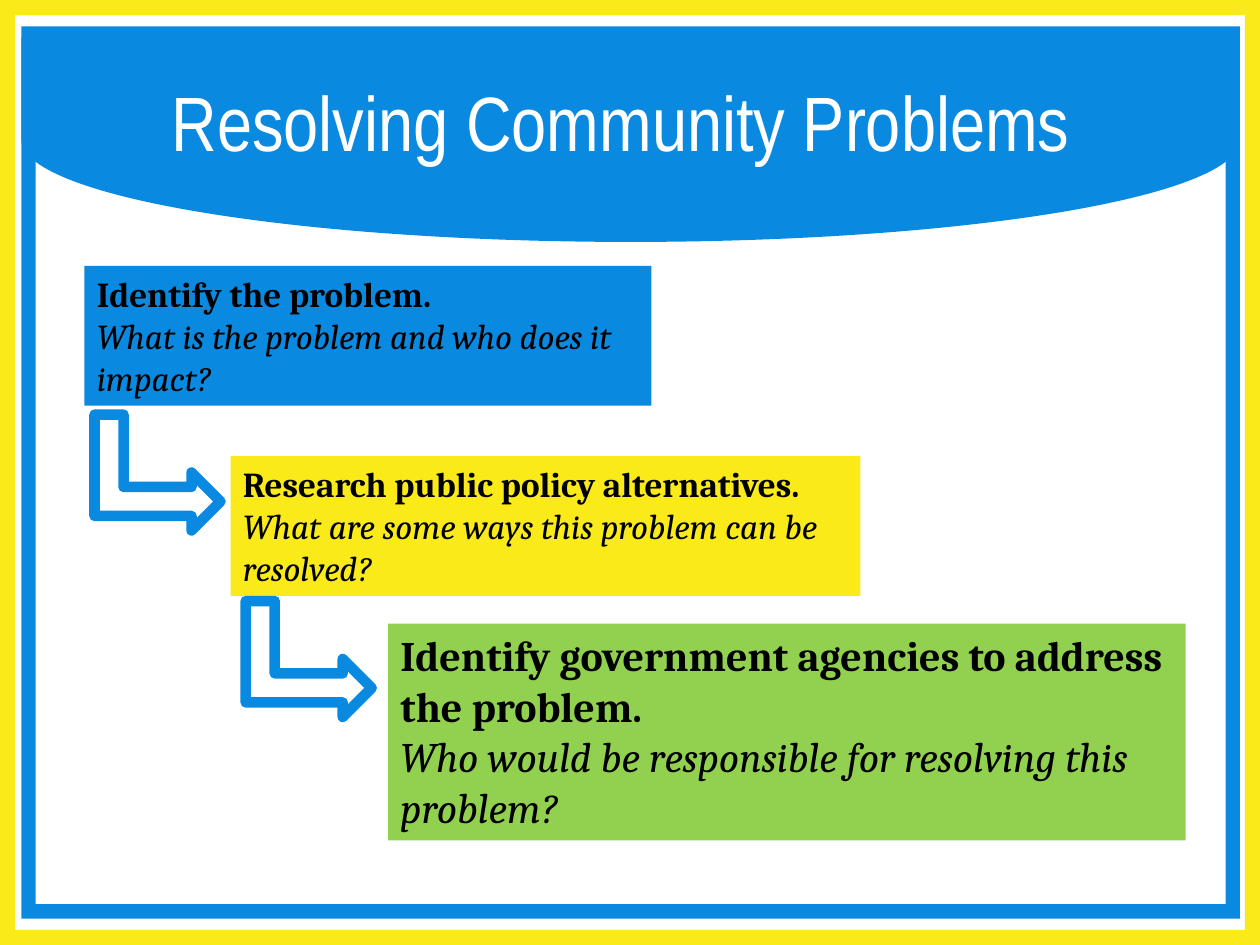
from pptx import Presentation
from pptx.dml.color import RGBColor
from pptx.enum.shapes import MSO_SHAPE as Shape
from pptx.enum.text import MSO_ANCHOR as Anchor, PP_ALIGN as Align
from pptx.util import Inches, Pt

BLUE, YELLOW, GREEN = "0A89E0", "FAEA1A", "92D050"
WHITE, BLACK = "FFFFFF", "000000"
ARROW_SIZE = 0.92, 1

# Box, fill, text size, step, question
STEPS = [
    ((0.67, 2.11, 4.5, 1.11), BLUE, 20, "Identify the problem.",
     "What is the problem and who does it impact?"),
    ((1.83, 3.62, 5, 1.11), YELLOW, 20, "Research public policy alternatives.",
     "What are some ways this problem can be resolved?"),
    ((3.08, 4.95, 6.33, 1.72), GREEN, 24,
     "Identify government agencies to address the problem.",
     "Who would be responsible for resolving this problem?"),
]
ARROWS = [(0.79, 3.25), (1.99, 4.73)]


def color(value):
    return RGBColor.from_string(value)


def paint(shape, fill):
    shape.fill.solid()
    shape.fill.fore_color.rgb = color(fill)


def add_preset(slide, kind, box, fill, rotation=0):
    shape = slide.shapes.add_shape(kind, *map(Inches, box))
    shape.shadow.inherit = False
    shape.rotation = rotation
    shape.line.fill.background()
    paint(shape, fill)
    return shape


def add_text(slide, box, lines, anchor=Anchor.TOP, align=Align.LEFT):
    """Add a text box; each line is its text and a dict of font values."""
    shape = slide.shapes.add_textbox(*map(Inches, box))
    frame = shape.text_frame
    frame.word_wrap = True
    frame.vertical_anchor = anchor
    for index, (text, formats) in enumerate(lines):
        paragraph = frame.add_paragraph() if index else frame.paragraphs[0]
        paragraph.alignment = align
        run = paragraph.add_run()
        run.text = text
        values = dict(formats)
        run.font.color.rgb = color(values.pop("color"))
        for name, value in values.items():
            setattr(run.font, name, value)
    return shape


def add_frame(slide, box, fill):
    frame = add_preset(slide, Shape.FRAME, box, fill)
    frame.adjustments[0] = 0.016


def add_banner(slide, box):
    """Add a half-round banner, a quarter turn about the centre of its box."""
    left, top, width, height = box
    turned = (left + (width - height) / 2, top + (height - width) / 2,
              height, width)
    add_preset(slide, Shape.FLOWCHART_DELAY, turned, BLUE, rotation=90)


def add_background(slide, box):
    left, top, width, height = box
    add_banner(slide, (left + 0.17, top + 0.3, width - 0.33, 1.62))
    add_frame(slide, box, YELLOW)
    add_frame(slide, (left + 0.17, top + 0.21, width - 0.33, height - 0.42),
              BLUE)


def add_step(slide, box, fill, size, step, question):
    base = {"name": "Cambria", "size": Pt(size), "color": BLACK}
    shape = add_text(slide, box, [(step, base | {"bold": True}),
                                  (question, base | {"italic": True})])
    paint(shape, fill)


def add_arrow(slide, left, top):
    arrow = add_preset(slide, Shape.BENT_UP_ARROW, (left, top, *ARROW_SIZE),
                       WHITE, rotation=90)
    arrow.line.color.rgb = color(BLUE)
    arrow.line.width = Pt(6)


def add_title(slide, box):
    formats = {"name": "Arial Narrow", "size": Pt(44), "color": WHITE}
    add_text(slide, box, [("Resolving Community Problems ", formats)],
             Anchor.MIDDLE, Align.CENTER)


def main():
    presentation = Presentation()
    presentation.slide_width = Inches(10)
    presentation.slide_height = Inches(7.5)
    slide = presentation.slides.add_slide(presentation.slide_layouts[6])
    add_background(slide, (0, 0, 10, 7.5))
    for step in STEPS:
        add_step(slide, *step)
    for position in ARROWS:
        add_arrow(slide, *position)
    add_title(slide, (0.5, 0.33, 9, 1.25))
    presentation.save("out.pptx")


if __name__ == "__main__":
    main()
